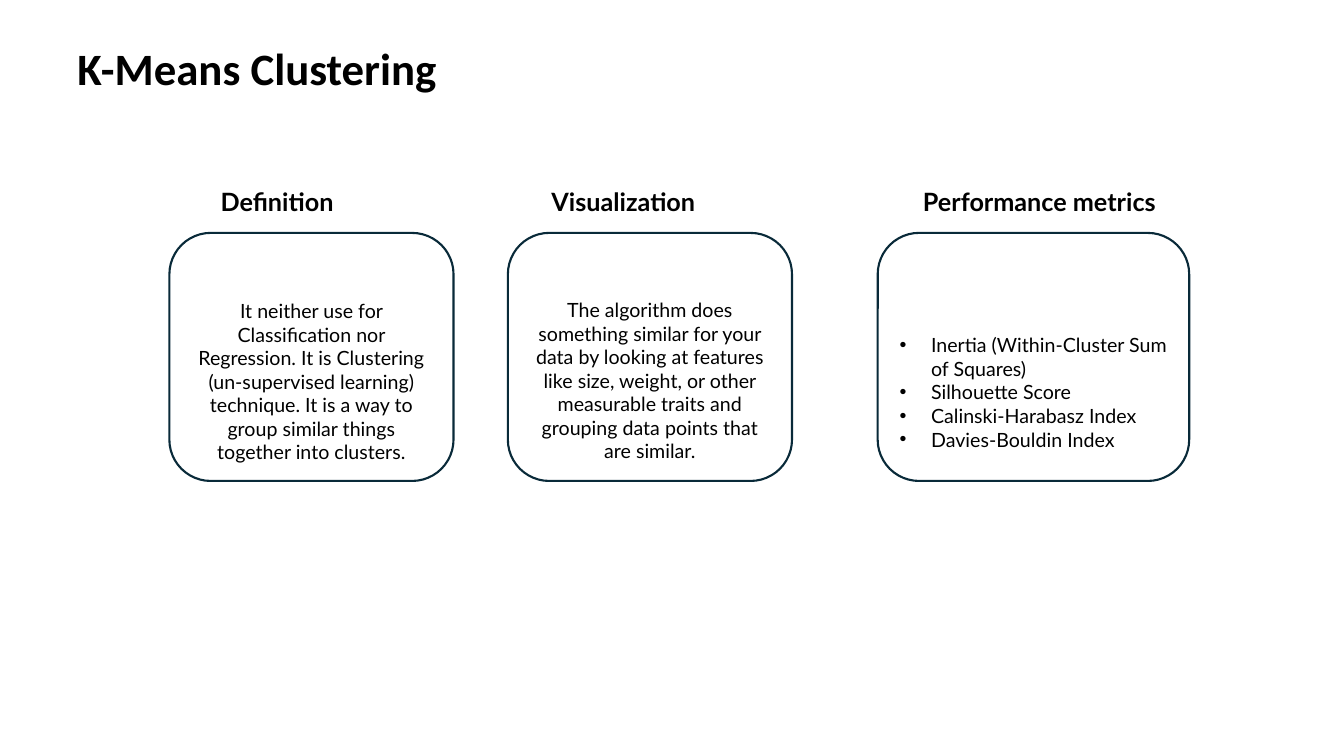
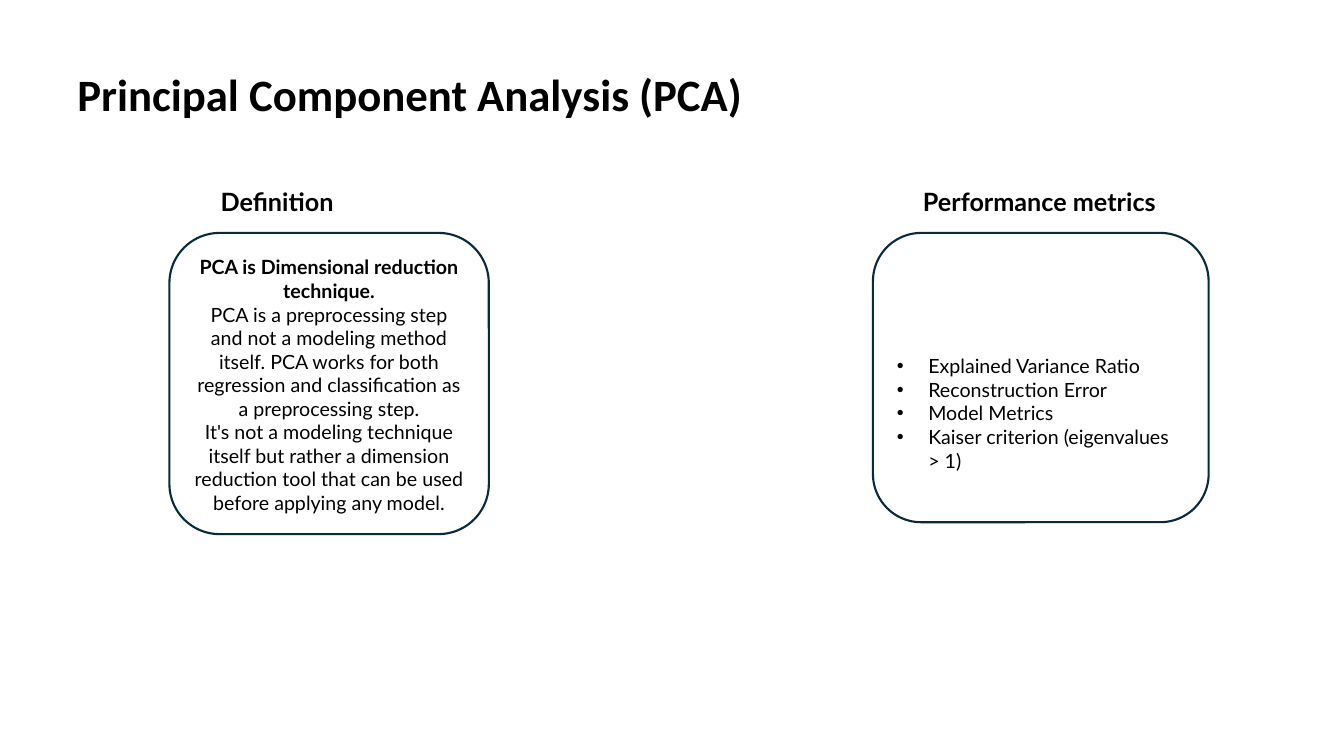
from pptx import Presentation
from pptx.dml.color import RGBColor
from pptx.enum.shapes import MSO_SHAPE
from pptx.enum.text import MSO_ANCHOR as ANCHOR, PP_ALIGN as ALIGN
from pptx.oxml.ns import qn
from pptx.util import Cm, Pt
from lxml import etree

# Shared style
COLORS = {"text": "000000", "fill": "FFFFFF", "line": "092A39"}
TITLE_FONT, BODY_FONT = "Calibri", "Lato"
TITLE_SIZE, HEAD_SIZE, BODY_SIZE = 32, 18, 14
HEAD_TOP, CARD_TOP, INDENT = 4.57, 5.87, 0.79

# Headings: text, left, width, alignment
DEFINITION = ("Definition", 5.31, 3.76, ALIGN.LEFT)
VISUALIZATION = ("Visualization", 12.74, 5.94, ALIGN.CENTER)
METRICS = ("Performance metrics", 22.5, 7.39, ALIGN.CENTER)

# Slides: title, title top, cards
# Cards: heading, left, width, height, bottom inset, bulleted, (text, bold) lines
SLIDES = [
    ("K-Means Clustering", 0.18, [
        (DEFINITION, 4.27, 7.16, 6.25, 0.13, False, [
            ("It neither use for Classification nor Regression. It is Clustering "
             "(un-supervised learning) technique. It is a way to group similar "
             "things together into clusters.", False)]),
        (VISUALIZATION, 12.8, 7.16, 6.25, 0.15, False, [
            ("The algorithm does something similar for your data by looking at "
             "features like size, weight, or other measurable traits and grouping "
             "data points that are similar.", False)]),
        (METRICS, 22.12, 7.85, 6.25, 0.45, True, [
            ("Inertia (Within-Cluster Sum of Squares)", False),
            ("Silhouette Score", False),
            ("Calinski-Harabasz Index", False),
            ("Davies-Bouldin Index", False)]),
    ]),
    ("Principal Component Analysis (PCA)", 0.84, [
        (DEFINITION, 4.27, 8.05, 7.59, 0.13, False, [
            ("PCA is Dimensional reduction technique.", True),
            ("PCA is a preprocessing step and not a modeling method itself. PCA "
             "works for both regression and classification as a preprocessing "
             "step.", False),
            ("It's not a modeling technique itself but rather a dimension "
             "reduction tool that can be used before applying any model.", False)]),
        (METRICS, 22, 8.46, 7.29, 0.91, True, [
            ("Explained Variance Ratio", False),
            ("Reconstruction Error", False),
            ("Model Metrics", False),
            ("Kaiser criterion (eigenvalues > 1)", False)]),
    ]),
]


def write(p, text, font, size, bold, align):
    p.text = text
    p.alignment = align
    f = p.runs[0].font
    f.name, f.size, f.bold = font, Pt(size), bold
    f.color.rgb = RGBColor.from_string(COLORS["text"])


def add_label(s, text, box, anchor, font, size, align):
    tf = s.shapes.add_textbox(*[Cm(v) for v in box]).text_frame
    tf.word_wrap = True
    tf.vertical_anchor = anchor
    write(tf.paragraphs[0], text, font, size, True, align)


prs = Presentation()
prs.slide_width, prs.slide_height = Cm(33.87), Cm(19.05)

for title, title_top, cards in SLIDES:
    s = prs.slides.add_slide(prs.slide_layouts[6])
    add_label(s, title, (1.7, title_top, 30.48, 3.05), ANCHOR.MIDDLE,
              TITLE_FONT, TITLE_SIZE, ALIGN.LEFT)

    for heading, left, width, height, inset, bulleted, lines in cards:
        # Heading above the card
        head, head_left, head_width, head_align = heading
        add_label(s, head, (head_left, HEAD_TOP, head_width, 1.02), ANCHOR.TOP,
                  BODY_FONT, HEAD_SIZE, head_align)

        # Rounded card
        sp = s.shapes.add_shape(MSO_SHAPE.ROUNDED_RECTANGLE, Cm(left),
                                Cm(CARD_TOP), Cm(width), Cm(height))
        sp.shadow.inherit = False
        sp.fill.solid()
        sp.fill.fore_color.rgb = RGBColor.from_string(COLORS["fill"])
        sp.line.color.rgb = RGBColor.from_string(COLORS["line"])
        sp.line.width = Pt(1.5)

        # Card text, resting on the bottom inset
        tf = sp.text_frame
        tf.word_wrap = True
        tf.vertical_anchor = ANCHOR.BOTTOM
        tf.margin_bottom = Cm(inset)
        for i, (text, bold) in enumerate(lines):
            p = tf.add_paragraph() if i else tf.paragraphs[0]
            if bulleted:
                pPr = p._p.get_or_add_pPr()
                pPr.set("marL", str(Cm(INDENT)))
                pPr.set("indent", str(-Cm(INDENT)))
                etree.SubElement(pPr, qn("a:buFont")).set("typeface", "Arial")
                etree.SubElement(pPr, qn("a:buChar")).set("char", "•")
            write(p, text, BODY_FONT, BODY_SIZE, bold,
                  ALIGN.LEFT if bulleted else ALIGN.CENTER)

prs.save("out.pptx")
